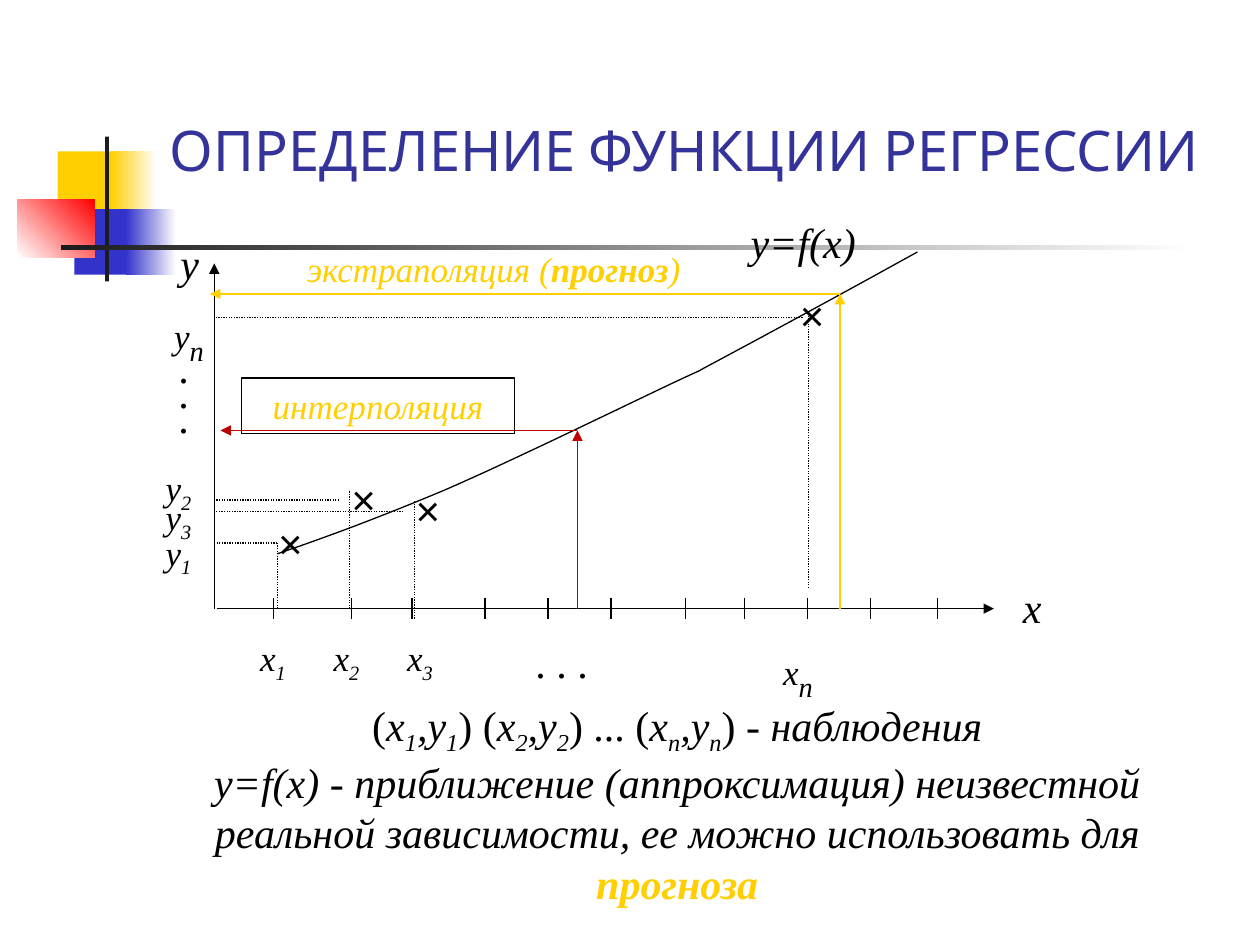
from dataclasses import dataclass

from lxml import etree
from pptx import Presentation
from pptx import util as u
from pptx.dml import color
from pptx.enum import dml, shapes, text
from pptx.oxml import ns

SERIF = "Times New Roman"
BLACK, YELLOW, BLUE, RED, DARK = "000000", "FFCF01", "3333CC", "C00000", "1C1C1C"
WHITE = "FFFFFF"
AXIS_Y, AXIS_X = 347.8, 122.4


@dataclass
class Run:
    text: str
    italic: bool = True
    sub: bool = False
    bold: bool = False
    size: float = 0  # 0 takes the size of the label
    color: str = ""  # empty takes the color of the label


@dataclass
class Label:
    left: float
    top: float
    width: float
    height: float
    runs: list[Run]
    size: float = 24
    color: str = BLACK
    font: str = SERIF
    spacing: float = 1.0
    framed: bool = False


@dataclass
class Block:
    left: float
    top: float
    width: float
    height: float
    start: str
    end: str = ""  # a second color makes a gradient
    angle: float = 0


@dataclass
class Line:
    x1: float
    y1: float
    x2: float
    y2: float
    color: str = BLACK
    weight: float = 0.75
    dotted: bool = False
    arrow: bool = False


def rgb(value: str) -> color.RGBColor:
    return color.RGBColor.from_string(value)


def indexed(name: str, index: str, index_size: float = 0) -> list[Run]:
    return [Run(name), Run(index, sub=True, size=index_size)]


def point_runs(index: str) -> list[Run]:
    return indexed("x", index) + indexed(",y", index)


def draw_block(slide, block: Block) -> None:
    shape = slide.shapes.add_shape(
        shapes.MSO_SHAPE.RECTANGLE, u.Pt(block.left), u.Pt(block.top),
        u.Pt(block.width), u.Pt(block.height))
    shape.shadow.inherit = False
    shape.line.fill.background()
    if block.end:
        shape.fill.gradient()
        shape.fill.gradient_angle = block.angle
        for stop, tone in zip(shape.fill.gradient_stops, (block.start, block.end)):
            stop.color.rgb = rgb(tone)
    else:
        shape.fill.solid()
        shape.fill.fore_color.rgb = rgb(block.start)


def draw_line(slide, line: Line) -> None:
    connector = slide.shapes.add_connector(
        shapes.MSO_CONNECTOR.STRAIGHT, u.Pt(line.x1), u.Pt(line.y1),
        u.Pt(line.x2), u.Pt(line.y2))
    connector.line.color.rgb = rgb(line.color)
    connector.line.width = u.Pt(line.weight)
    if line.dotted:
        connector.line.dash_style = dml.MSO_LINE.ROUND_DOT
    if line.arrow:
        stroke = connector.line._get_or_add_ln()
        etree.SubElement(stroke, ns.qn("a:tailEnd"), type="triangle")
    etree.SubElement(connector._element.spPr, ns.qn("a:effectLst"))


def draw_label(slide, label: Label):
    place = [u.Pt(v) for v in (label.left, label.top, label.width, label.height)]
    if label.framed:
        box = slide.shapes.add_shape(shapes.MSO_SHAPE.RECTANGLE, *place)
        box.shadow.inherit = False
        box.fill.background()
        box.line.color.rgb = rgb(BLACK)
        box.line.width = u.Pt(0.75)
    else:
        box = slide.shapes.add_textbox(*place)
    frame = box.text_frame
    frame.word_wrap = True
    frame.auto_size = text.MSO_AUTO_SIZE.SHAPE_TO_FIT_TEXT
    paragraph = frame.paragraphs[0]
    paragraph.alignment = text.PP_ALIGN.CENTER
    paragraph.line_spacing = label.spacing
    for part in label.runs:
        for number, piece in enumerate(part.text.split("\n")):
            if number:
                paragraph.add_line_break()
            if not piece:
                continue
            run = paragraph.add_run()
            run.text = piece
            run.font.name = label.font
            run.font.size = u.Pt(part.size or label.size)
            run.font.italic = part.italic
            run.font.bold = part.bold
            run.font.color.rgb = rgb(part.color or label.color)
            if part.sub:
                run._r.get_or_add_rPr().set("baseline", "-25000")
    return box


def bezier(points: list[tuple], steps: int = 16) -> list[tuple]:
    """Points along a cubic curve, without its start."""
    result = []
    for step in range(1, steps + 1):
        t = step / steps
        weights = ((1 - t) ** 3, 3 * t * (1 - t) ** 2, 3 * t * t * (1 - t), t ** 3)
        result.append(tuple(u.Pt(sum(w * p[axis] for w, p in zip(weights, points)))
                            for axis in (0, 1)))
    return result


def draw_curve(slide, knots: list[tuple]) -> None:
    builder = slide.shapes.build_freeform(u.Pt(knots[0][0]), u.Pt(knots[0][1]))
    for start in range(0, len(knots) - 1, 3):
        builder.add_line_segments(bezier(knots[start:start + 4]), close=False)
    curve = builder.convert_to_shape()
    curve.shadow.inherit = False
    curve.fill.background()
    curve.line.color.rgb = rgb(BLACK)
    curve.line.width = u.Pt(0.75)


DECOR = [
    Block(33, 86.5, 34.5, 37.5, YELLOW), Block(63.4, 86.5, 26, 37.5, YELLOW, WHITE),
    Block(42.5, 119.5, 33, 37.5, BLUE), Block(72, 119.5, 28.8, 37.5, BLUE, WHITE),
    Block(10, 113.8, 44, 33.2, WHITE, "FF0000", 45),
    Block(60, 78, 2.3, 82.8, DARK), Block(34.6, 140.2, 648, 2.5, DARK, WHITE),
]
TICKS = [156.2, 200.9, 235.4, 277.2, 313.2, 349.2, 391.7, 425.5, 461.5, 497.5, 535.7]
AXES = [Line(123.8, AXIS_Y, 568, AXIS_Y, arrow=True),
        Line(AXIS_X, AXIS_Y, AXIS_X, 150.5, arrow=True)]
GUIDES = [Line(*ends, dotted=True) for ends in (
    (462.2, 336, 462.2, 180), (158.4, AXIS_Y, 158.4, 310.3),
    (158.4, 310.3, AXIS_X, 310.3), (199.6, AXIS_Y, 199.6, 280),
    (193.7, 285.8, 121.7, 285.8), (458.6, 181.4, AXIS_X, 181.4),
    (236.9, 353.5, 236.9, 285.8), (230.4, 292.3, AXIS_X, 292.3))]
FORECASTS = [
    Line(330, AXIS_Y, 330, 246, RED, 1, arrow=True),
    Line(330, 246, 126, 246, RED, arrow=True),
    Line(480, AXIS_Y, 480, 168, YELLOW, arrow=True),
    Line(480, 168, 120, 168, YELLOW, arrow=True),
]
CURVE = [(158.4, 316.5), (187.2, 306.7), (216, 296), (254.2, 280),
         (292.3, 263.5), (360, 230.4), (385.9, 218.2),
         (411.8, 206), (387.4, 218.2), (410.4, 206),
         (433.4, 193.7), (478.8, 169.2), (524.2, 144)]
CROSSES = [(151.9, 292.3, 14.4), (193.7, 267.1, 14.4), (230.4, 273.6, 14.4), (450, 162, 24)]
LABELS = [
    *(Label(138 + 42 * i, 360, 36, 34.6, indexed("x", str(i + 1)), 20) for i in range(3)),
    Label(438, 360, 36, 45.4, indexed("x", "n", 28), 20),
    Label(84, 300, 36, 34.6, indexed("y", "1"), 20),
    Label(84, 270, 36, 40.3, indexed("y", "2\n") + indexed("y", "3"), 20, spacing=0.6),
    Label(90, 168, 36, 45.4, indexed("y", "n", 28), 20),
    Label(282, 360, 78, 36, [Run(". . .", False)]),
    Label(66, 204, 78, 50.4, [Run(".\n.\n.", False)], spacing=0.5),
    Label(577.4, 329, 18, 36, [Run("x")]),
    Label(96, 132, 18, 36, [Run("y")]),
    Label(420, 120, 78, 36, [Run("y=f(x)")]),
    Label(138, 216, 156, 31.7, [Run("интерполяция")], 20, YELLOW, framed=True),
    Label(144, 138, 276, 31.7,
          [Run("экстраполяция ("), Run("прогноз", bold=True), Run(")")], 20, YELLOW),
    Label(78, 396, 618, 126.7, [
        Run("(", False), *point_runs("1"), Run(") (", False), *point_runs("2"),
        Run(") ... (", False), *point_runs("n"), Run(") - ", False),
        Run("наблюдения\ny=f(x) - приближение (аппроксимация) неизвестной "
            "реальной зависимости, ее можно использовать для "),
        Run("прогноза", bold=True, color=YELLOW)]),
]


def main() -> None:
    deck = Presentation()
    deck.slide_width, deck.slide_height = u.Pt(720), u.Pt(540)
    slide = deck.slides.add_slide(deck.slide_layouts[6])

    # Corner decoration
    for block in DECOR:
        draw_block(slide, block)

    # Chart: axes, ticks, guides, regression curve and forecasts
    ticks = [Line(x, AXIS_Y - 6.2, x, AXIS_Y + 6.2) for x in TICKS]
    for line in AXES + ticks + GUIDES:
        draw_line(slide, line)
    draw_curve(slide, CURVE)
    for line in FORECASTS:
        draw_line(slide, line)

    # Observations and labels
    for left, top, width in CROSSES:
        draw_label(slide, Label(left, top, width, 36, [Run("×", False)], font="Arial"))
    for label in LABELS:
        draw_label(slide, label)

    # Title
    heading = draw_label(slide, Label(
        90, 42, 613.4, 66, [Run("ОПРЕДЕЛЕНИЕ ФУНКЦИИ РЕГРЕССИИ", False)],
        32, "333399", "Cabin"))
    heading.text_frame.auto_size = text.MSO_AUTO_SIZE.NONE
    heading.text_frame.vertical_anchor = text.MSO_ANCHOR.BOTTOM
    heading.text_frame.paragraphs[0].alignment = text.PP_ALIGN.LEFT

    deck.save("out.pptx")


if __name__ == "__main__":
    main()
